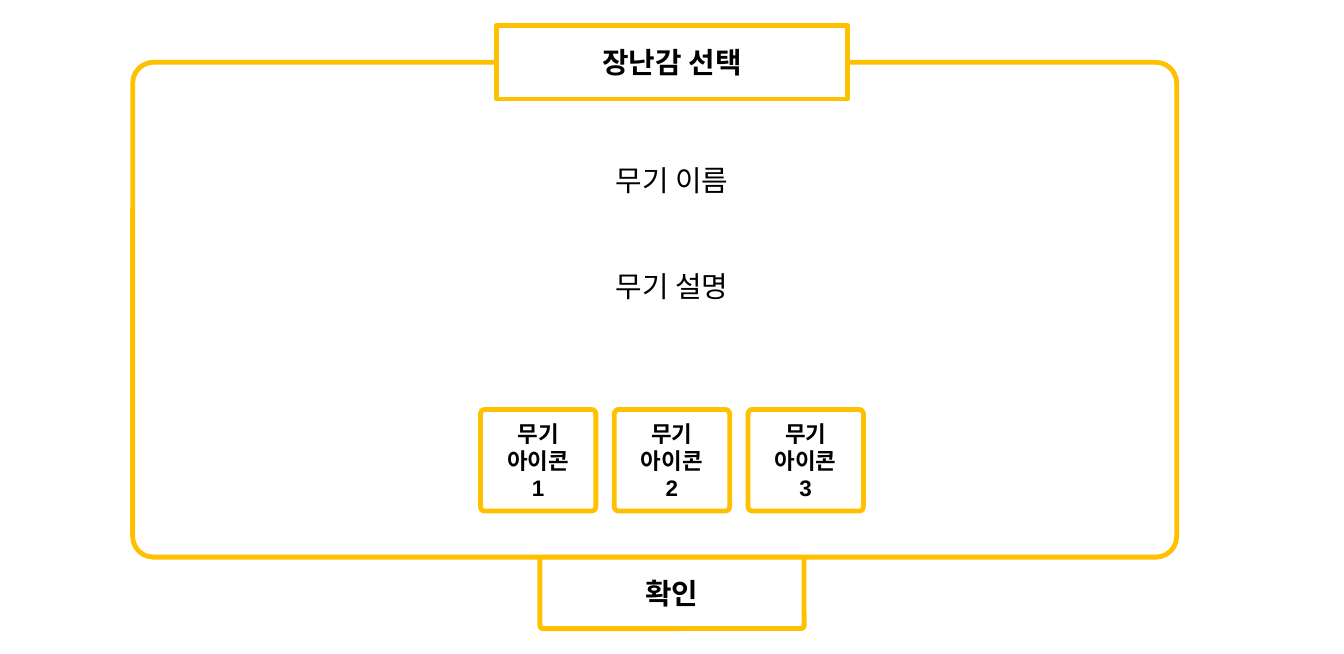
from dataclasses import dataclass

from lxml import etree
from pptx import Presentation
from pptx import util as u
from pptx.dml.color import RGBColor
from pptx.enum import shapes, text
from pptx.oxml import ns


@dataclass(frozen=True)
class Theme:
    border: RGBColor = RGBColor(0xFF, 0xC0, 0x00)
    surface: RGBColor = RGBColor(0xFF, 0xFF, 0xFF)
    ink: RGBColor = RGBColor(0, 0, 0)
    border_width: float = 3
    corner: float = 0.042
    large: float = 18
    small: float = 14
    heading_font: str = "Arial"
    body_font: str = "Calibri"


THEME = Theme()
TITLE_ONLY = 5
CENTRE_X = 419.4


def write(shape, *lines, size=THEME.large, font=THEME.heading_font, bold=True,
          anchor=text.MSO_ANCHOR.MIDDLE, auto_size=text.MSO_AUTO_SIZE.NONE):
    """Fill the shape with centred paragraphs, one per line."""
    frame = shape.text_frame
    frame.word_wrap = True
    frame.auto_size = auto_size
    frame.vertical_anchor = anchor
    for index, line in enumerate(lines):
        para = frame.paragraphs[0] if index == 0 else frame.add_paragraph()
        para.alignment = text.PP_ALIGN.CENTER
        span = para.add_run()
        span.text = line
        span.font.size = u.Pt(size)
        span.font.name = font
        span.font.bold = bold
        span.font.color.rgb = THEME.ink


def paint(shape):
    shape.fill.solid()
    shape.fill.fore_color.rgb = THEME.surface
    shape.line.color.rgb = THEME.border
    shape.line.width = u.Pt(THEME.border_width)


def add_box(page, left, top, width, height):
    box = page.shapes.add_shape(shapes.MSO_SHAPE.ROUNDED_RECTANGLE,
                                *map(u.Pt, (left, top, width, height)))
    box.adjustments[0] = THEME.corner
    box.shadow.inherit = False
    paint(box)
    return box


def add_label(page, line, top):
    width, height = 164.9, 28.8
    label = page.shapes.add_textbox(
        *map(u.Pt, (CENTRE_X - width / 2, top, width, height)))
    write(label, line, font=THEME.body_font, bold=False,
          anchor=text.MSO_ANCHOR.TOP,
          auto_size=text.MSO_AUTO_SIZE.SHAPE_TO_FIT_TEXT)


def round_corners(placeholder):
    """Give a placeholder the same rounded outline as the boxes."""
    outline = etree.Element(ns.qn("a:prstGeom"), prst="roundRect")
    guides = etree.SubElement(outline, ns.qn("a:avLst"))
    etree.SubElement(guides, ns.qn("a:gd"), name="adj",
                     fmla=f"val {round(THEME.corner * 100000)}")
    placeholder.element.spPr.find(ns.qn("a:xfrm")).addnext(outline)


def place_title(page, line, top, width, height):
    title = page.shapes.title
    title.left, title.top = u.Pt(CENTRE_X - width / 2), u.Pt(top)
    title.width, title.height = u.Pt(width), u.Pt(height)
    round_corners(title)
    paint(title)
    write(title, line)
    return title


def add_icons(page, count, top):
    width, height, step = 72, 63.4, 83.5
    first = CENTRE_X - width / 2 - step * (count - 1) / 2
    for index in range(count):
        icon = add_box(page, first + index * step, top, width, height)
        write(icon, "무기", "아이콘", str(index + 1), size=THEME.small)


def main():
    deck = Presentation()
    deck.slide_width, deck.slide_height = u.Pt(838.8), u.Pt(408.24)
    page = deck.slides.add_slide(deck.slide_layouts[TITLE_ONLY])

    panel = add_box(page, 82.8, 38.9, 651.6, 308.9)
    title = place_title(page, "장난감 선택", top=15.8, width=218.9, height=46.1)
    panel.element.addnext(title.element)  # the title sits on the panel's edge

    add_label(page, "무기 이름", top=97.9)
    add_label(page, "무기 설명", top=164.2)
    add_icons(page, 3, top=255.6)
    confirm = add_box(page, CENTRE_X - 82.45, 347.8, 164.9, 44.6)
    write(confirm, "확인")

    deck.save("out.pptx")


if __name__ == "__main__":
    main()
